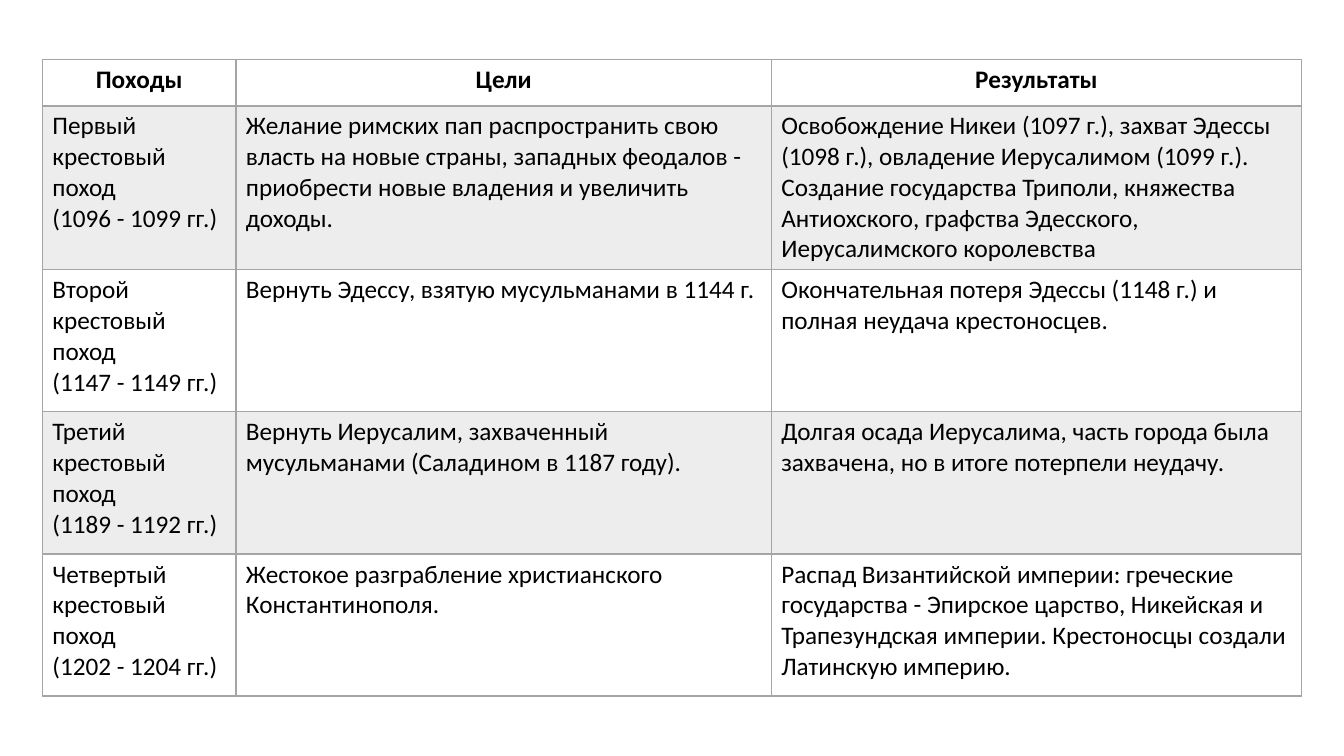
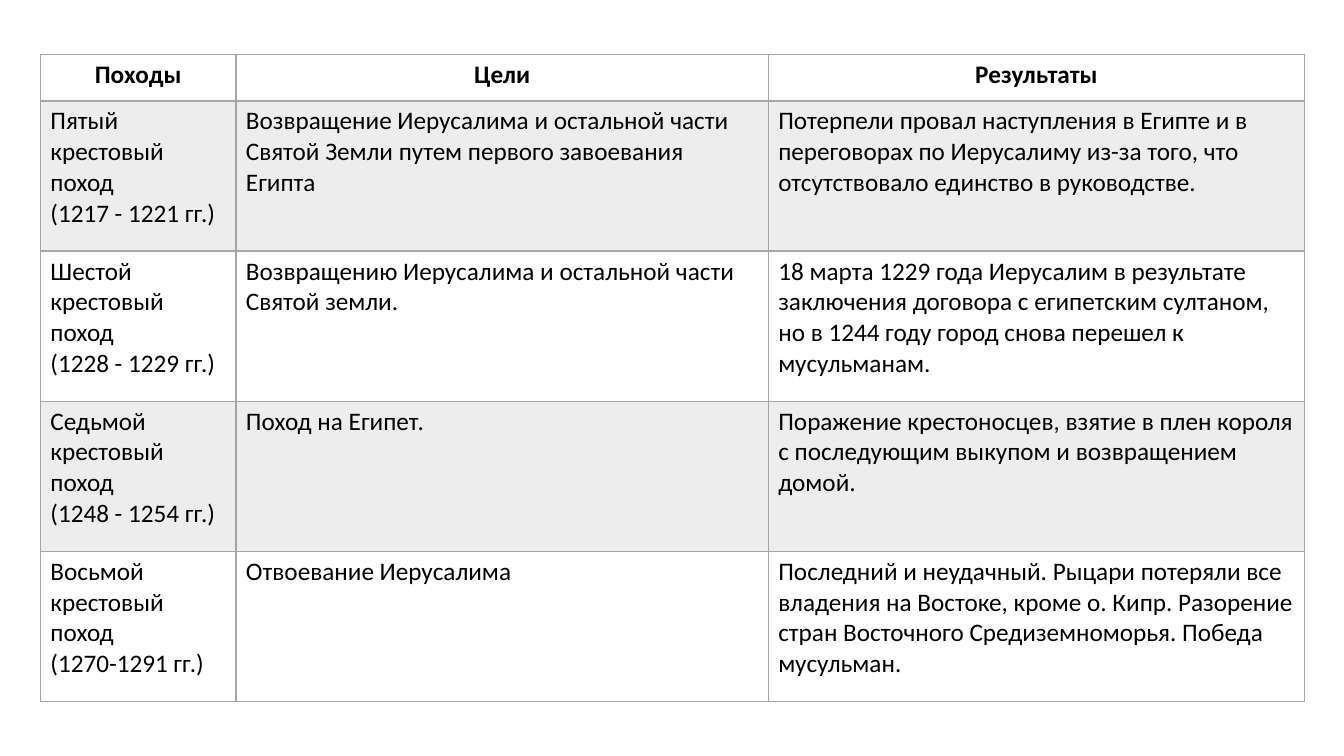
import pptx
import pptx.util
import pptx.dml.color
import pptx.enum.text
import pptx.oxml.ns
import lxml.etree

Inches = pptx.util.Inches
ALIGN = pptx.enum.text.PP_ALIGN

# Shared look
COLORS = {"text": "000000", "line": "A5A5A5", "band": "EDEDED"}
FONT = "Calibri"
HEADS = ("Походы", "Цели", "Результаты")
THIN, THICK = 1, 2

# Each row: name, years, aims, results
EARLY = [
    ("Первый", "1096 - 1099 гг.",
     "Желание римских пап распространить свою власть на новые страны, "
     "западных феодалов - приобрести новые владения и увеличить доходы.",
     "Освобождение Никеи (1097 г.), захват Эдессы (1098 г.), овладение "
     "Иерусалимом (1099 г.). Создание государства Триполи, княжества "
     "Антиохского, графства Эдесского, Иерусалимского королевства"),
    ("Второй", "1147 - 1149 гг.",
     "Вернуть Эдессу, взятую мусульманами в 1144 г.",
     "Окончательная потеря Эдессы (1148 г.) и полная неудача крестоносцев."),
    ("Третий", "1189 - 1192 гг.",
     "Вернуть Иерусалим, захваченный мусульманами (Саладином в 1187 году).",
     "Долгая осада Иерусалима, часть города была захвачена, но в итоге "
     "потерпели неудачу."),
    ("Четвертый", "1202 - 1204 гг.",
     "Жестокое разграбление христианского Константинополя.",
     "Распад Византийской империи: греческие государства - Эпирское царство, "
     "Никейская и Трапезундская империи. Крестоносцы создали Латинскую "
     "империю."),
]
LATE = [
    ("Пятый", "1217 - 1221 гг.",
     "Возвращение Иерусалима и остальной части Святой Земли путем первого "
     "завоевания Египта",
     "Потерпели провал наступления в Египте и в переговорах по Иерусалиму "
     "из-за того, что отсутствовало единство в руководстве."),
    ("Шестой", "1228 - 1229 гг.",
     "Возвращению Иерусалима и остальной части Святой земли.",
     "18 марта 1229 года Иерусалим в результате заключения договора с "
     "египетским султаном, но в 1244 году город снова перешел к мусульманам."),
    ("Седьмой", "1248 - 1254 гг.",
     "Поход на Египет.",
     "Поражение крестоносцев, взятие в плен короля с последующим выкупом и "
     "возвращением домой."),
    ("Восьмой", "1270-1291 гг.",
     "Отвоевание Иерусалима",
     "Последний и неудачный. Рыцари потеряли все владения на Востоке, кроме "
     "о. Кипр. Разорение стран Восточного Средиземноморья. Победа мусульман."),
]


def write(frame, text, size=18, bold=False, color="text", align=ALIGN.LEFT):
    """Fill a text frame, one paragraph for each line of text."""
    frame.word_wrap = True
    for i, line in enumerate(text.split("\n")):
        para = frame.paragraphs[0] if i == 0 else frame.add_paragraph()
        para.alignment = align
        run = para.add_run()
        run.text = line
        run.font.name = FONT
        run.font.size = pptx.util.Pt(size)
        run.font.bold = bold
        run.font.color.rgb = pptx.dml.color.RGBColor.from_string(COLORS[color])


def edge(cell, top=THIN, bottom=THIN):
    """Draw the four borders of a cell, widths in points."""
    props = cell._tc.get_or_add_tcPr()
    qn = pptx.oxml.ns.qn
    for side, width in (("L", THIN), ("R", THIN), ("T", top), ("B", bottom)):
        line = lxml.etree.SubElement(props, qn("a:ln" + side),
                                     w=str(pptx.util.Pt(width)))
        fill = lxml.etree.SubElement(line, qn("a:solidFill"))
        lxml.etree.SubElement(fill, qn("a:srgbClr"), val=COLORS["line"])


def shade(cell, band):
    """Grey for banded rows, clear for the rest."""
    if band:
        cell.fill.solid()
        cell.fill.fore_color.rgb = pptx.dml.color.RGBColor.from_string(
            COLORS["band"])
    else:
        cell.fill.background()


def grid(slide, left, top, cols, rows, trips):
    """Place the table of campaigns; cols and rows are sizes in inches."""
    table = slide.shapes.add_table(
        len(rows), len(cols), Inches(left), Inches(top),
        Inches(sum(cols)), Inches(sum(rows))).table
    table.horz_banding = False
    for col, width in zip(table.columns, cols):
        col.width = Inches(width)
    for row, height in zip(table.rows, rows):
        row.height = Inches(height)

    # Header row
    for cell, head in zip(table.rows[0].cells, HEADS):
        write(cell.text_frame, head, bold=True, align=ALIGN.CENTER)
        edge(cell, bottom=THICK)
        shade(cell, False)

    # Campaign rows, every other one banded
    for r, (name, years, aims, ends) in enumerate(trips, 1):
        texts = (f"{name} крестовый поход\n({years})", aims, ends)
        for cell, text in zip(table.rows[r].cells, texts):
            write(cell.text_frame, text)
            edge(cell, top=THICK if r == 1 else THIN)
            shade(cell, r % 2 == 1)


def main():
    deck = pptx.Presentation()
    deck.slide_width, deck.slide_height = Inches(13.33), Inches(7.5)
    blank = deck.slide_layouts[6]

    # First to fourth campaigns
    grid(deck.slides.add_slide(blank), 0.42, 0.59, (1.92, 5.31, 5.26),
         (0.46, 1.61) + (1.41,) * 3, EARLY)
    # Fifth to eighth campaigns
    grid(deck.slides.add_slide(blank), 0.4, 0.54, (1.94, 5.28, 5.32),
         (0.46,) + (1.49,) * 4, LATE)
    deck.save("out.pptx")


if __name__ == "__main__":
    main()
